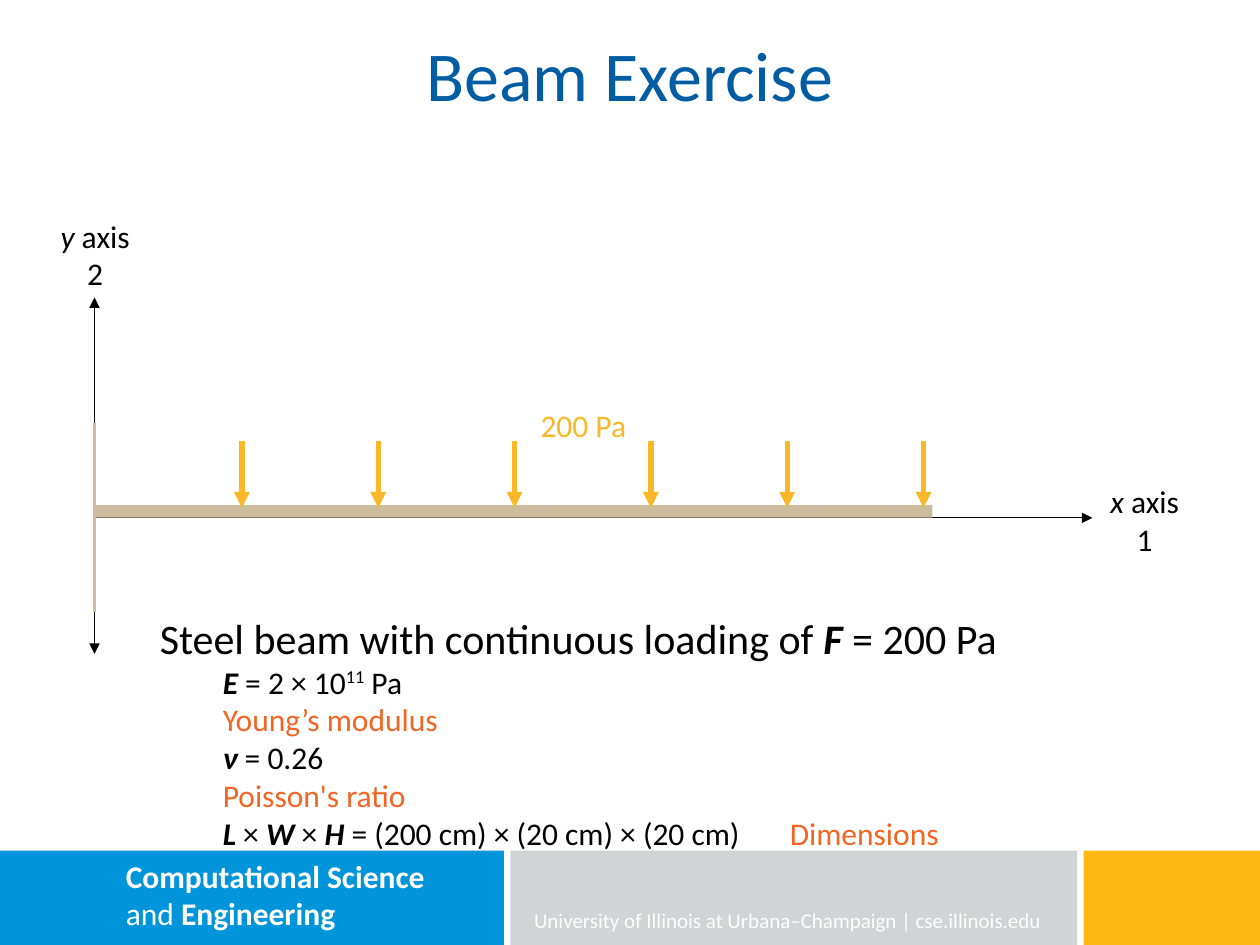
from lxml import etree
from pptx import Presentation
from pptx.dml.color import RGBColor
from pptx.enum.shapes import MSO_CONNECTOR, MSO_SHAPE
from pptx.enum.text import PP_ALIGN
from pptx.oxml.ns import qn
from pptx.util import Pt

PX = 9144
BLACK, WHITE, ORANGE = "000000", "FFFFFF", "F26522"
BEAM, LOAD = "CBBD9E", "FAB828"
BOLD_ITALIC = {"bold": True, "italic": True}


def px(n):
    return round(n * PX)


def rgb(value):
    return RGBColor.from_string(value)


def add_rect(s, x, y, w, h, color):
    sp = s.shapes.add_shape(MSO_SHAPE.RECTANGLE, px(x), px(y), px(w), px(h))
    sp.shadow.inherit = False
    sp.fill.solid()
    sp.fill.fore_color.rgb = rgb(color)
    sp.line.fill.background()


def add_line(s, x1, y1, x2, y2, color=BLACK, width=0.75, ends=()):
    cx = s.shapes.add_connector(
        MSO_CONNECTOR.STRAIGHT, px(x1), px(y1), px(x2), px(y2))
    cx.line.color.rgb = rgb(color)
    cx.line.width = Pt(width)
    for end in ends:
        etree.SubElement(cx.line._get_or_add_ln(), qn("a:" + end), type="triangle")
    etree.SubElement(cx._element.spPr, qn("a:effectLst"))


def add_run(p, text, size=18, color=BLACK, bold=False, italic=False, raised=False):
    r = p.add_run()
    r.text = text
    r.font.name = "Calibri"
    r.font.size = Pt(size)
    r.font.bold = bold
    r.font.italic = italic
    r.font.color.rgb = rgb(color)
    if raised:
        r.font._element.set("baseline", "33000")


def add_text(s, x, y, w, h, paragraphs, align=PP_ALIGN.LEFT, **fmt):
    tf = s.shapes.add_textbox(px(x), px(y), px(w), px(h)).text_frame
    tf.word_wrap = True
    for i, runs in enumerate(paragraphs):
        p = tf.paragraphs[0] if i == 0 else tf.add_paragraph()
        p.alignment = align
        for text, extra in runs:
            add_run(p, text, **{**fmt, **extra})
    return tf


def footer(s, x, y, w, h):
    add_rect(s, x + w - 140, y, 140, h, "FDB913")
    add_rect(s, x, y, 400, h, "0095DA")
    add_rect(s, x + 405, y, 450, h, "D1D3D4")
    add_text(s, x + 90, y, 276, 70, [
        [("Computational Science", {"bold": True})],
        [("and ", {}), ("Engineering", {"bold": True})],
    ], color=WHITE)
    add_text(s, x + 414, y + 40, 436, 35, [
        [("University of Illinois at Urbana–Champaign | cse.illinois.edu", {})],
    ], size=12, color=WHITE)


def axis_label(s, x, y, w, h, name, number):
    add_text(s, x, y, w, h, [[(name, {"italic": True}), (f" axis {number}", {})]],
             align=PP_ALIGN.CENTER)


def beam_diagram(s, x, y, w, h):
    base = y + 244
    add_line(s, x + 42, base, x + 834, base, ends=["tailEnd"])
    add_line(s, x + 42, y + 352, x + 42, y + 69, ends=["headEnd", "tailEnd"])
    add_line(s, x + 42, y + 169, x + 42, y + 319, BEAM, 2.15)
    add_rect(s, x + 42, base - 10, 665, 10, BEAM)
    axis_label(s, x, y, 85, 100, "y", 2)
    axis_label(s, x + w - 83, y + 211, 83, 100, "x", 1)
    add_text(s, x + 159, y + 150, 542, 40, [[("200 Pa", {})]],
             align=PP_ALIGN.CENTER, color=LOAD)
    first, last, count = x + 159, x + 700, 6
    for i in range(count):
        load_x = first + (last - first) * i / (count - 1)
        add_line(s, load_x, y + 183, load_x, y + 236, LOAD, 3, ["tailEnd"])


def properties(s, x, y, w, h):
    note = {"color": ORANGE}
    times = (" × ", {})
    tf = add_text(s, x, y, w, h, [
        [("Steel beam with continuous loading of ", {"size": 24}),
         ("F", {"size": 24, **BOLD_ITALIC}), (" = 200 Pa", {"size": 24})],
        [("E", BOLD_ITALIC), (" = 2 × 10", {}), ("11", {"raised": True}), (" Pa", {})],
        [("Young’s modulus", note)],
        [("ν", BOLD_ITALIC), (" = 0.26", {})],
        [("Poisson's ratio", note)],
        [("L", BOLD_ITALIC), times, ("W", BOLD_ITALIC), times, ("H", BOLD_ITALIC),
         (" = (200 cm) × (20 cm) × (20 cm)\t", {}), ("Dimensions", note)],
    ])
    for p in tf.paragraphs[1:]:
        pPr = p._p.get_or_add_pPr()
        pPr.set("marL", str(px(50)))
        pPr.set("indent", "0")
        tabs = etree.SubElement(pPr, qn("a:tabLst"))
        etree.SubElement(tabs, qn("a:tab"), pos=str(px(500)), algn="l")


def main():
    prs = Presentation()
    prs.slide_width, prs.slide_height = px(1000), px(750)
    s = prs.slides.add_slide(prs.slide_layouts[6])
    footer(s, 0, 675, 1000, 75)
    add_text(s, 0, 20, 1000, 77, [[("Beam Exercise", {})]],
             align=PP_ALIGN.CENTER, size=40, color="005DA4")
    beam_diagram(s, 33, 167, 917, 352)
    properties(s, 117, 481, 710, 270)
    prs.save("out.pptx")


if __name__ == "__main__":
    main()
